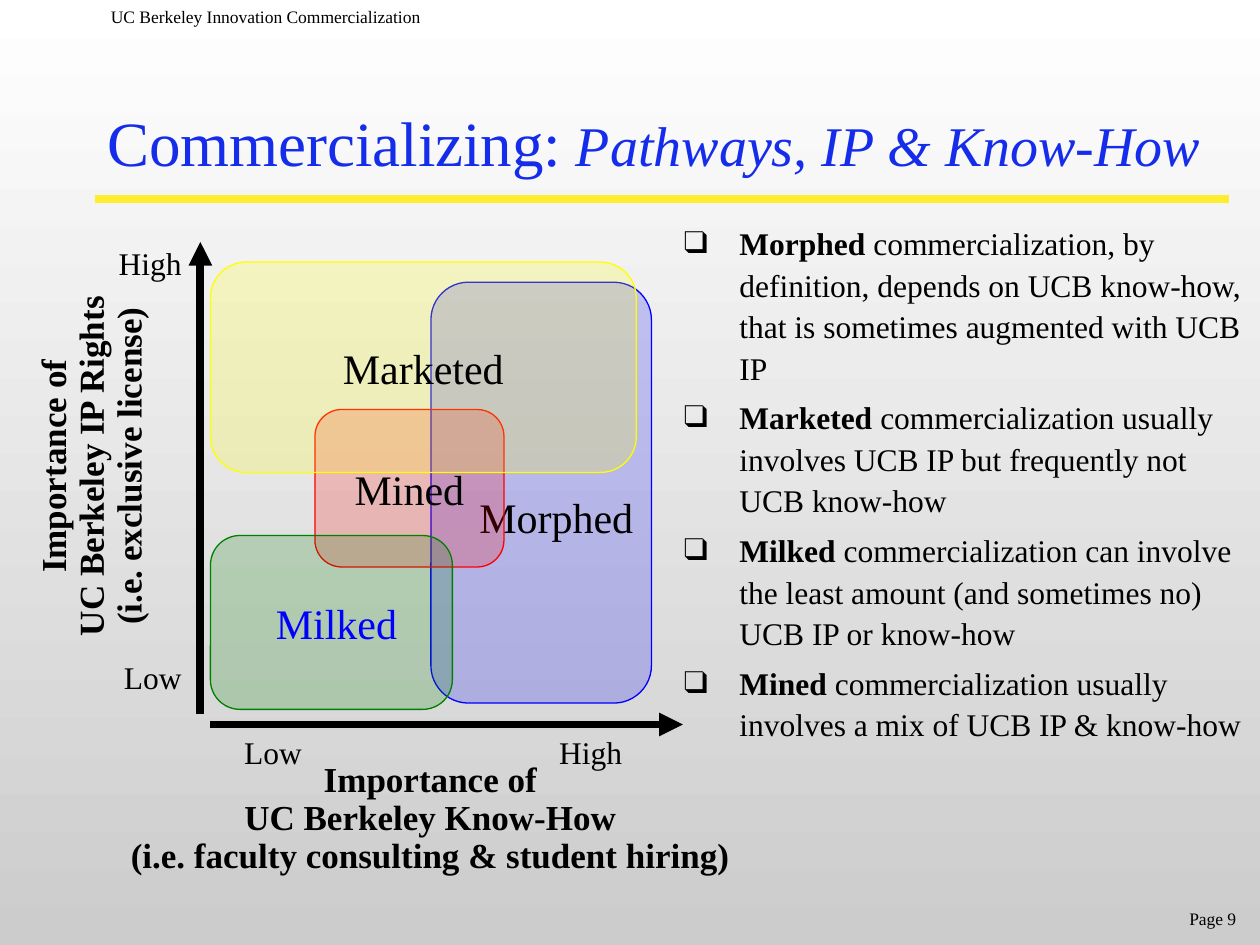
import pptx
import pptx.util
import pptx.dml.color
import pptx.enum.shapes
import pptx.enum.text
import pptx.oxml
import pptx.oxml.ns
import lxml.etree

Inches = pptx.util.Inches
Pt = pptx.util.Pt
RGBColor = pptx.dml.color.RGBColor
ALIGN = pptx.enum.text.PP_ALIGN
ANCHOR = pptx.enum.text.MSO_ANCHOR
AUTO_SIZE = pptx.enum.text.MSO_AUTO_SIZE
qn = pptx.oxml.ns.qn

FONT = "Times New Roman"
BLACK = RGBColor(0x00, 0x00, 0x00)
WHITE = RGBColor(0xFF, 0xFF, 0xFF)
GRAY = RGBColor(0xCC, 0xCC, 0xCC)
BLUE = RGBColor(0x00, 0x00, 0xFF)
RED = RGBColor(0xFF, 0x00, 0x00)
YELLOW = RGBColor(0xFF, 0xFF, 0x00)
GREEN = RGBColor(0x00, 0x80, 0x00)
TITLE_BLUE = RGBColor(0x15, 0x2D, 0xEB)
RULE_YELLOW = RGBColor(0xFE, 0xEC, 0x2E)

PATHWAYS = [
    ("Morphed", "commercialization, by definition, depends on UCB know-how, "
                "that is sometimes augmented with UCB IP"),
    ("Marketed", "commercialization usually involves UCB IP but frequently not UCB know-how"),
    ("Milked", "commercialization can involve the least amount (and sometimes no) "
               "UCB IP or know-how"),
    ("Mined", "commercialization usually involves a mix of UCB IP & know-how"),
]


def write(paragraph, text, size=18, color=BLACK, bold=False, italic=False):
    run = paragraph.add_run()
    run.text = text
    run.font.name = FONT
    run.font.size = Pt(size)
    run.font.color.rgb = color
    run.font.bold = bold
    run.font.italic = italic


def add_text_box(slide, box, lines, align=ALIGN.LEFT, spacing=None, wrap=True,
                 anchor=ANCHOR.TOP, **text_format):
    shape = slide.shapes.add_textbox(*map(Inches, box))
    frame = shape.text_frame
    frame.word_wrap = wrap
    frame.auto_size = AUTO_SIZE.NONE if wrap else AUTO_SIZE.SHAPE_TO_FIT_TEXT
    frame.vertical_anchor = anchor
    for index, line in enumerate(lines):
        paragraph = frame.add_paragraph() if index else frame.paragraphs[0]
        paragraph.alignment = align
        paragraph.line_spacing = spacing
        write(paragraph, line, **text_format)
    return shape


def add_line(slide, start, end, color, arrow=False):
    line = slide.shapes.add_connector(
        pptx.enum.shapes.MSO_CONNECTOR.STRAIGHT, *map(Inches, start + end))
    line.line.color.rgb = color
    line.line.width = Pt(4.5)
    if arrow:
        lxml.etree.SubElement(line.line._get_or_add_ln(), qn("a:tailEnd"), type="triangle")
    lxml.etree.SubElement(line._element.spPr, qn("a:effectLst"))


def add_region(slide, box, name, color, text_color=BLACK, shift_right=0, shift_down=0):
    """Translucent rounded area; the shifts move its label off centre."""
    shape = slide.shapes.add_shape(
        pptx.enum.shapes.MSO_SHAPE.ROUNDED_RECTANGLE, *map(Inches, box))
    shape.shadow.inherit = False
    shape.adjustments[0] = 0.17
    shape.fill.solid()
    shape.fill.fore_color.rgb = color
    fill_color = shape._element.spPr.find(qn("a:solidFill")).find(qn("a:srgbClr"))
    lxml.etree.SubElement(fill_color, qn("a:alpha"), val="20000")
    shape.line.color.rgb = color
    shape.line.width = Pt(0.75)
    frame = shape.text_frame
    frame.word_wrap = True
    frame.vertical_anchor = ANCHOR.MIDDLE
    frame.margin_left = Inches(2 * shift_right)
    frame.margin_right = 0
    frame.margin_top = Inches(0.05 + 2 * shift_down)
    frame.paragraphs[0].alignment = ALIGN.CENTER
    write(frame.paragraphs[0], name, size=24, color=text_color)


def set_background(slide):
    fill = slide.background.fill
    fill.gradient()
    fill.gradient_angle = 270
    for stop, color, position in zip(fill.gradient_stops, (WHITE, GRAY), (0, 1)):
        stop.color.rgb = color
        stop.position = position


def build_title(slide, box):
    left, top, width, height = box
    title = slide.shapes.title
    title.left, title.top, title.width, title.height = map(Inches, box)
    frame = title.text_frame
    frame.auto_size = AUTO_SIZE.NONE
    frame.vertical_anchor = ANCHOR.MIDDLE
    paragraph = frame.paragraphs[0]
    paragraph.alignment = ALIGN.LEFT
    write(paragraph, "Commercializing:", size=36, color=TITLE_BLUE)
    write(paragraph, " Pathways, IP & Know-How", size=32, color=TITLE_BLUE, italic=True)
    # Rule under the title
    rule_top = top + height - 0.17
    add_line(slide, (left, rule_top), (left + 9, rule_top), RULE_YELLOW)


def build_matrix(slide, box):
    left, top, width, height = box
    right, bottom = left + width, top + height
    gap = 0.08

    # Overlapping pathways, back to front
    add_region(slide, (left + 1.75, top + 0.32, 1.75, 3.34), "Morphed", BLUE,
               shift_right=0.12, shift_down=0.19)
    add_region(slide, (left + 0.83, top + 1.33, 1.5, 1.25), "Mined", RED)
    add_region(slide, (left, top + 0.16, 3.38, 1.67), "Marketed", YELLOW)
    add_region(slide, (left, top + 2.33, 1.92, 1.38), "Milked", GREEN,
               text_color=BLUE, shift_right=0.04)

    # Axes
    add_line(slide, (left - gap, bottom), (left - gap, top), BLACK, arrow=True)
    add_line(slide, (left, bottom + gap), (right, bottom + gap), BLACK, arrow=True)

    # Ends of the scales
    for text, label_width, label_left, label_top in (
            ("High", 0.7, left - 0.83, top), ("Low", 0.66, left - 0.79, top + 3.29)):
        add_text_box(slide, (label_left, label_top, label_width, 0.37), [text],
                     align=ALIGN.RIGHT, spacing=0.9, wrap=False)
    for text, label_width, label_left in (
            ("Low", 0.66, left + 0.17), ("High", 0.7, left + 2.67)):
        add_text_box(slide, (label_left, bottom + 0.13, label_width, 0.37), [text],
                     spacing=0.9, wrap=False)

    # Axis titles
    axis_format = dict(align=ALIGN.CENTER, spacing=0.9, wrap=False, size=20, bold=True)
    add_text_box(slide, (left - 0.83, bottom + 0.33, 5.15, 1),
                 ["Importance of", "UC Berkeley Know-How",
                  "(i.e. faculty consulting & student hiring)"], **axis_format)
    vertical_title = add_text_box(
        slide, (left - 2.39, top + 1.28, 2.91, 1),
        ["Importance of", "UC Berkeley IP Rights", "(i.e. exclusive license)"], **axis_format)
    vertical_title.rotation = 270


def build_pathway_list(slide, box):
    frame = slide.shapes.add_textbox(*map(Inches, box)).text_frame
    frame.word_wrap = True
    frame.margin_right = frame.margin_bottom = Inches(0.02)
    for index, (name, description) in enumerate(PATHWAYS):
        paragraph = frame.add_paragraph() if index else frame.paragraphs[0]
        paragraph.line_spacing = 1.1
        paragraph.space_before = Pt(4.5 if index else 0)
        properties = paragraph._p.get_or_add_pPr()
        properties.set("marL", str(Inches(0.44)))
        properties.set("indent", str(-Inches(0.44)))
        bullet_color = lxml.etree.SubElement(properties, qn("a:buClr"))
        lxml.etree.SubElement(bullet_color, qn("a:srgbClr"), val=str(BLACK))
        lxml.etree.SubElement(properties, qn("a:buFont"), typeface=FONT)
        lxml.etree.SubElement(properties, qn("a:buChar"), char="❑")
        write(paragraph, name + " ", bold=True)
        write(paragraph, description)


def build_header_and_footer(slide, header_box, footer_box):
    header = add_text_box(slide, header_box, ["UC Berkeley Innovation Commercialization"], size=10)
    header.text_frame.margin_left = Inches(0.13)
    add_text_box(slide, footer_box, ["Page 9"], size=10, align=ALIGN.RIGHT, anchor=ANCHOR.BOTTOM)


def main():
    presentation = pptx.Presentation()
    presentation.slide_width = Inches(10)
    presentation.slide_height = Inches(7.5)
    slide = presentation.slides.add_slide(presentation.slide_layouts[5])
    set_background(slide)
    build_title(slide, (0.75, 0.5, 9.25, 1.25))
    build_matrix(slide, (1.67, 1.92, 3.75, 3.75))
    build_pathway_list(slide, (5.33, 1.7, 4.58, 5.58))
    build_header_and_footer(slide, (0.75, 0, 3.42, 0.5), (7.83, 6.92, 2.08, 0.5))
    presentation.save("out.pptx")


if __name__ == "__main__":
    main()
